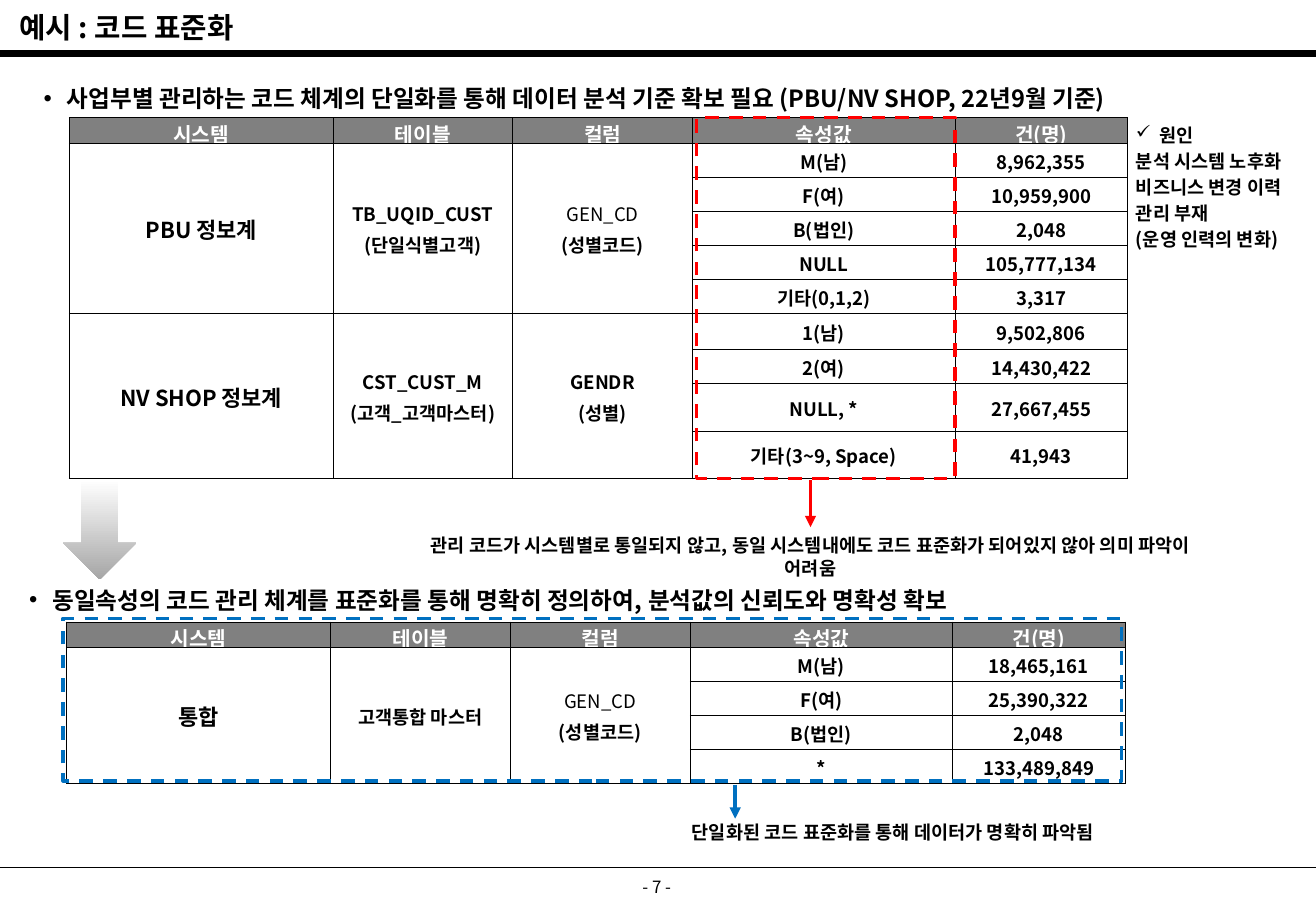
from lxml import etree
from pptx import Presentation
from pptx.dml.color import RGBColor
from pptx.enum.dml import MSO_LINE
from pptx.enum.shapes import MSO_CONNECTOR, MSO_SHAPE
from pptx.enum.text import MSO_ANCHOR, MSO_AUTO_SIZE, PP_ALIGN
from pptx.oxml.ns import qn
from pptx.util import Inches, Pt

BLACK = RGBColor(0, 0, 0)
WHITE = RGBColor(255, 255, 255)
HEADER_GRAY = RGBColor(0x80, 0x80, 0x80)
ARROW_GRAY = RGBColor(0xA6, 0xA6, 0xA6)
RED = RGBColor(255, 0, 0)
BLUE = RGBColor(0, 0x70, 0xC0)
LEFT, CENTER = PP_ALIGN.LEFT, PP_ALIGN.CENTER
TOP, MIDDLE = MSO_ANCHOR.TOP, MSO_ANCHOR.MIDDLE
DASH = MSO_LINE.DASH
STRAIGHT = MSO_CONNECTOR.STRAIGHT
RECTANGLE, DOWN_ARROW = MSO_SHAPE.RECTANGLE, MSO_SHAPE.DOWN_ARROW
NO_AUTOFIT = MSO_AUTO_SIZE.NONE
FONT = "Noto Sans CJK KR"
LIGHT_LINES = ("GEN_CD", "- 7 -")

HEADERS = ("시스템", "테이블", "컬럼", "속성값", "건(명)")
COLUMN_WIDTHS = (2.17, 1.48, 1.48, 2.16, 1.42)
CURRENT_CODES = (
    ("PBU 정보계", "TB_UQID_CUST\n(단일식별고객)", "GEN_CD\n(성별코드)",
     (("M(남)", "8,962,355"), ("F(여)", "10,959,900"), ("B(법인)", "2,048"),
      ("NULL", "105,777,134"), ("기타(0,1,2)", "3,317"))),
    ("NV SHOP 정보계", "CST_CUST_M\n(고객_고객마스터)", "GENDR\n(성별)",
     (("1(남)", "9,502,806"), ("2(여)", "14,430,422"),
      ("NULL, *", "27,667,455"), ("기타(3~9, Space)", "41,943"))),
)
UNIFIED_CODES = (
    ("통합", "고객통합 마스터", "GEN_CD\n(성별코드)",
     (("M(남)", "18,465,161"), ("F(여)", "25,390,322"),
      ("B(법인)", "2,048"), ("*", "133,489,849"))),
)
CAUSES = "원인\n분석 시스템 노후화\n비즈니스 변경 이력\n관리 부재\n(운영 인력의 변화)"


def write(frame, text, size=11, color=BLACK, align=LEFT, before=0.2, bullet=None):
    """Fill a text frame line by line; a bullet marks the first line."""
    frame.word_wrap = True
    for index, line in enumerate(text.split("\n")):
        para = frame.paragraphs[0] if index == 0 else frame.add_paragraph()
        para.alignment = align
        para.space_before = Pt(size * before)
        if bullet and index == 0:
            properties = para._p.get_or_add_pPr()
            properties.set("marL", str(Inches(0.19)))
            properties.set("indent", str(-Inches(0.19)))
            etree.SubElement(properties, qn("a:buChar")).set("char", bullet)
        span = para.add_run()
        span.text = line
        span.font.name = FONT
        span.font.size = Pt(size)
        span.font.bold = line not in LIGHT_LINES
        span.font.color.rgb = color
        etree.SubElement(span._r.get_or_add_rPr(), qn("a:ea")).set("typeface", FONT)


class CodeSlide:
    """Draw the elements of the code standardization slide."""

    def __init__(self, deck):
        """Add a page with a title and two body placeholders."""
        self.page = deck.slides.add_slide(deck.slide_layouts[3])
        self.shapes = self.page.shapes

    def placeholder(self, index, bounds, text, anchor=TOP, **style):
        """Move and fill a template placeholder."""
        box = self.page.placeholders[index]
        box.left, box.top, box.width, box.height = map(Inches, bounds)
        box.text_frame.auto_size = NO_AUTOFIT
        box.text_frame.vertical_anchor = anchor
        write(box.text_frame, text, before=0, **style)

    def note(self, bounds, text, **style):
        """Add a text box."""
        box = self.shapes.add_textbox(*map(Inches, bounds))
        write(box.text_frame, text, **style)

    def line(self, start, end, color, width, arrow=False):
        """Add a straight line, with an arrowhead if wanted."""
        line = self.shapes.add_connector(STRAIGHT, *map(Inches, start + end))
        line.line.color.rgb = color
        line.line.width = Pt(width)
        if arrow:
            etree.SubElement(line.line._get_or_add_ln(), qn("a:tailEnd")).set("type", "triangle")
        etree.SubElement(line._element.spPr, qn("a:effectLst"))

    def dashed_frame(self, bounds, color):
        """Add an unfilled dashed rectangle."""
        frame = self.shapes.add_shape(RECTANGLE, *map(Inches, bounds))
        frame.shadow.inherit = False
        frame.fill.background()
        frame.line.color.rgb = color
        frame.line.width = Pt(2)
        frame.line.dash_style = DASH

    def fading_arrow(self, bounds):
        """Add a block arrow that fades from white to gray."""
        arrow = self.shapes.add_shape(DOWN_ARROW, *map(Inches, bounds))
        arrow.shadow.inherit = False
        arrow.line.fill.background()
        arrow.fill.gradient()
        arrow.fill.gradient_angle = 270
        for stop, color in zip(arrow.fill.gradient_stops, (WHITE, ARROW_GRAY)):
            stop.color.rgb = color

    def cell(self, cell, text, fill=None, **style):
        """Fill one table cell and draw its borders."""
        cell.margin_left = cell.margin_right = cell.margin_top = Inches(0.01)
        cell.margin_bottom = 0
        cell.vertical_anchor = MIDDLE
        if fill is None:
            cell.fill.background()
        else:
            cell.fill.solid()
            cell.fill.fore_color.rgb = fill
        properties = cell._tc.get_or_add_tcPr()
        for index, side in enumerate(("a:lnL", "a:lnR", "a:lnT", "a:lnB")):
            border = etree.Element(qn(side), w=str(Pt(0.5)))
            paint = etree.SubElement(border, qn("a:solidFill"))
            etree.SubElement(paint, qn("a:srgbClr")).set("val", str(BLACK))
            properties.insert(index, border)
        write(cell.text_frame, text, align=CENTER, **style)

    def code_table(self, left, top, heights, groups):
        """Add a table whose first three columns merge over each group."""
        bounds = (left, top, sum(COLUMN_WIDTHS), sum(heights))
        table = self.shapes.add_table(
            len(heights), len(HEADERS), *map(Inches, bounds)).table
        table.horz_banding = False
        for column, width in zip(table.columns, COLUMN_WIDTHS):
            column.width = Inches(width)
        for row, height in zip(table.rows, heights):
            row.height = Inches(height)
        for column, header in enumerate(HEADERS):
            self.cell(table.cell(0, column), header, HEADER_GRAY, size=12, color=WHITE)
        first = 1
        for *labels, values in groups:
            last = first + len(values) - 1
            for row, pair in enumerate(values, first):
                for column, text in enumerate((*labels, *pair)):
                    if column > 2 or row == first:
                        style = {"size": 13, "before": 0} if column == 0 else {}
                        self.cell(table.cell(row, column), text, **style)
                    else:
                        self.cell(table.cell(row, column), "")
            for column in range(len(labels)):
                table.cell(first, column).merge(table.cell(last, column))
            first = last + 1


def main():
    """Build and save the slide."""
    deck = Presentation()
    deck.slide_width, deck.slide_height = Inches(10.83), Inches(7.5)
    slide = CodeSlide(deck)
    slide.line((0, 7.14), (10.83, 7.14), BLACK, 0.75)
    slide.line((0, 0.44), (10.83, 0.44), BLACK, 4.5)
    slide.placeholder(0, (0.06, 0.03, 10.48, 0.39), "예시 : 코드 표준화",
                      anchor=MIDDLE, size=17)
    slide.note((4.14, 7.17, 2.53, 0.33), "- 7 -", size=10, align=CENTER, before=0)
    slide.placeholder(
        1, (0.26, 0.64, 10.08, 0.34),
        "사업부별 관리하는 코드 체계의 단일화를 통해 데이터 분석 기준 확보 필요 (PBU/NV SHOP, 22년9월 기준)",
        size=14, bullet="•")
    slide.placeholder(
        2, (0.14, 4.77, 8.43, 0.34),
        "동일속성의 코드 관리 체계를 표준화를 통해 명확히 정의하여, 분석값의 신뢰도와 명확성 확보",
        size=14, bullet="•")
    slide.code_table(0.57, 0.97, (0.21, *[0.28] * 5, 0.3, 0.28, 0.39, 0.39), CURRENT_CODES)
    slide.code_table(0.55, 5.12, (0.21, *[0.28] * 4), UNIFIED_CODES)
    slide.dashed_frame((5.73, 0.97, 2.13, 2.97), RED)
    slide.note(
        (3.31, 4.35, 6.72, 0.29),
        "관리 코드가 시스템별로 통일되지 않고, 동일 시스템내에도 코드 표준화가 되어있지 않아 의미 파악이 어려움",
        align=CENTER)
    slide.line((6.67, 3.95), (6.67, 4.34), RED, 2.25, arrow=True)
    slide.note((9.25, 0.97, 1.4, 1.17), CAUSES, bullet="✓")
    slide.fading_arrow((0.52, 3.95, 0.6, 0.82))
    slide.dashed_frame((0.52, 5.09, 8.71, 1.34), BLUE)
    slide.note((4.16, 6.71, 6.38, 0.29),
               "단일화된 코드 표준화를 통해 데이터가 명확히 파악됨", align=CENTER)
    slide.line((6.05, 6.46), (6.05, 6.74), BLUE, 2.25, arrow=True)
    deck.save("out.pptx")


if __name__ == "__main__":
    main()
